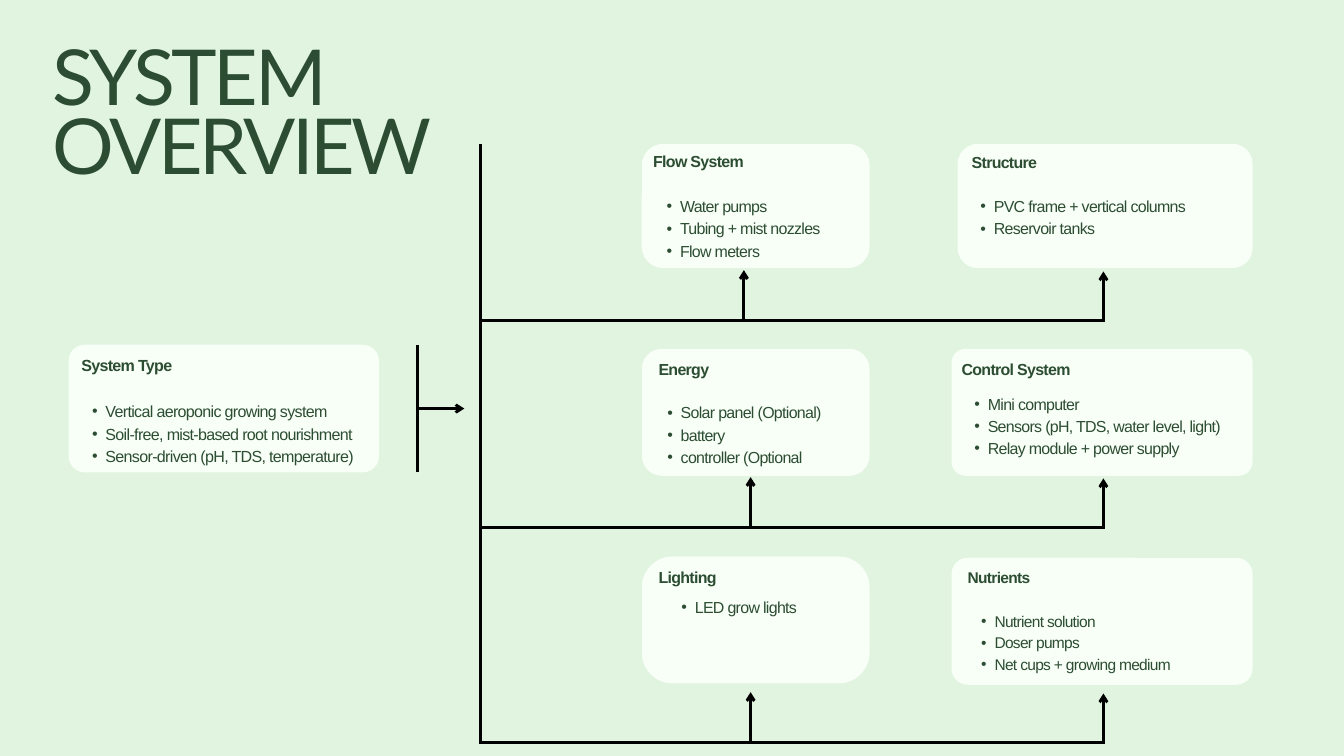
import dataclasses

import lxml.etree
import pptx
import pptx.dml.color
import pptx.enum.shapes
import pptx.enum.text
import pptx.oxml.ns
import pptx.util

COLUMNS, ROWS = 20, 11.25  # grid cells are one inch square


def color(hex_string):
    return pptx.dml.color.RGBColor.from_string(hex_string)


def add_xml(parent, tag, **attributes):
    return lxml.etree.SubElement(parent, pptx.oxml.ns.qn(tag), attributes)


@dataclasses.dataclass
class Card:
    """A panel with a heading and bullets; places are (column, row)."""
    heading: str
    bullets: list
    box: tuple  # column, row, width, height
    radius: float
    heading_at: tuple
    bullets_at: tuple
    text_width: float
    size: float = 17.1


class SystemSlide:
    background, panel, ink, line_color = "E1F4E0", "F8FFF7", "2C4D32", "000000"
    title_font, body_font = "Lato", "Arial"
    hanging, bullet_gap = 0.4, 0.2
    line_width = 3

    def __init__(self, presentation):
        self.cell_width = presentation.slide_width / COLUMNS
        self.cell_height = presentation.slide_height / ROWS
        self.slide = presentation.slides.add_slide(presentation.slide_layouts[6])
        fill = self.slide.background.fill
        fill.solid()
        fill.fore_color.rgb = color(self.background)

    def x(self, columns):
        return round(columns * self.cell_width)

    def y(self, rows):
        return round(rows * self.cell_height)

    def place(self, column, row, width, height):
        return self.x(column), self.y(row), self.x(width), self.y(height)

    def text(self, lines, at, width, size, font, leading=1.4, tracking=-0.7,
             bold=False, bulleted=False):
        """Leading is a multiple of the size; tracking is in points."""
        height = len(lines) * size * leading / 72
        box = self.slide.shapes.add_textbox(*self.place(*at, width, height))
        frame = box.text_frame
        frame.word_wrap = True
        frame.auto_size = pptx.enum.text.MSO_AUTO_SIZE.SHAPE_TO_FIT_TEXT
        frame.margin_left = frame.margin_right = 0
        frame.margin_top = frame.margin_bottom = 0
        frame.text = "\n".join(lines)
        for paragraph in frame.paragraphs:
            paragraph.line_spacing = pptx.util.Pt(round(size * leading, 1))
            properties = paragraph._p.get_or_add_pPr()
            if bulleted:
                paragraph.level = 1
                properties.set("marL", str(self.x(self.hanging)))
                properties.set("indent", str(-self.x(self.bullet_gap)))
                add_xml(properties, "a:buFont", typeface=self.body_font)
                add_xml(properties, "a:buChar", char="•")
            paragraph.font.name = font
            paragraph.font.size = pptx.util.Pt(size)
            paragraph.font.bold = bold
            paragraph.font.color.rgb = color(self.ink)
            character = properties.find(pptx.oxml.ns.qn("a:defRPr"))
            character.set("spc", str(round(tracking * 100)))

    def title(self, wording, at, width):
        self.text([wording], at, width, 82.7, self.title_font, 0.9, -3.5)

    def card(self, card):
        panel = self.slide.shapes.add_shape(
            pptx.enum.shapes.MSO_SHAPE.ROUNDED_RECTANGLE, *self.place(*card.box))
        panel.adjustments[0] = card.radius / min(card.box[2:])
        panel.shadow.inherit = False
        panel.fill.solid()
        panel.fill.fore_color.rgb = color(self.panel)
        panel.line.fill.background()
        self.text(card.bullets, card.bullets_at, card.text_width, card.size,
                  self.body_font, bulleted=True)
        self.text([card.heading], card.heading_at, card.text_width, card.size,
                  self.body_font, bold=True)

    def line(self, start, end, arrow=False):
        connector = self.slide.shapes.add_connector(
            pptx.enum.shapes.MSO_CONNECTOR.STRAIGHT,
            self.x(start[0]), self.y(start[1]), self.x(end[0]), self.y(end[1]))
        connector.line.width = pptx.util.Pt(self.line_width)
        connector.line.color.rgb = color(self.line_color)
        if arrow:
            add_xml(connector.line._get_or_add_ln(), "a:tailEnd", type="arrow")
        add_xml(connector._element.spPr, "a:effectLst")


CARDS = [
    Card("System Type",
         ["Vertical aeroponic growing system",
          "Soil-free, mist-based root nourishment",
          "Sensor-driven (pH, TDS, temperature)"],
         (1.02, 5.13, 4.62, 1.9), 0.24, (1.21, 5.24), (1.17, 5.93), 4.83, 17.2),
    Card("Lighting", ["LED grow lights"],
         (9.55, 8.28, 3.39, 1.89), 0.46, (9.8, 8.4), (9.94, 8.84), 2.99),
    Card("Nutrients",
         ["Nutrient solution", "Doser pumps", "Net cups + growing medium"],
         (14.16, 8.3, 4.48, 1.89), 0.24, (14.4, 8.41), (14.4, 9.06), 4.51, 16.6),
    Card("Structure", ["PVC frame + vertical columns", "Reservoir tanks"],
         (14.25, 2.14, 4.39, 1.85), 0.3, (14.46, 2.23), (14.39, 2.88), 5.76),
    Card("Flow System",
         ["Water pumps", "Tubing + mist nozzles", "Flow meters"],
         (9.55, 2.14, 3.39, 1.85), 0.32, (9.72, 2.21), (9.72, 2.88), 4.67),
    Card("Control System",
         ["Mini computer", "Sensors (pH, TDS, water level, light)",
          "Relay module + power supply"],
         (14.16, 5.19, 4.48, 1.89), 0.21, (14.31, 5.31), (14.3, 5.82), 3.93),
    Card("Energy",
         ["Solar panel (Optional)", "battery", "controller (Optional"],
         (9.55, 5.19, 3.39, 1.89), 0.3, (9.8, 5.31), (9.73, 5.95), 2.68),
]

TRUNK, RIGHT_ARROW, ARROW_LENGTH = 7.15, 16.42, 0.75
BRANCHES = [(4.77, 11.07), (7.85, 11.17), (11.05, 11.17)]  # row, inner arrow


def main():
    presentation = pptx.Presentation()
    presentation.slide_width = pptx.util.Inches(COLUMNS)
    presentation.slide_height = pptx.util.Inches(ROWS)
    overview = SystemSlide(presentation)

    overview.title("SYSTEM OVERVIEW", (0.78, 0.76), 9.71)
    for card in CARDS:
        overview.card(card)

    overview.line((TRUNK, 11.07), (TRUNK, 2.14))
    overview.line((6.21, 6.08), (6.91, 6.08), arrow=True)
    overview.line((6.21, 7.03), (6.21, 5.13))
    for row, inner_arrow in BRANCHES:
        overview.line((TRUNK, row), (RIGHT_ARROW + 0.02, row))
        for column, start in ((inner_arrow, row), (RIGHT_ARROW, row + 0.02)):
            overview.line((column, start), (column, start - ARROW_LENGTH), arrow=True)

    presentation.save("out.pptx")


if __name__ == "__main__":
    main()
